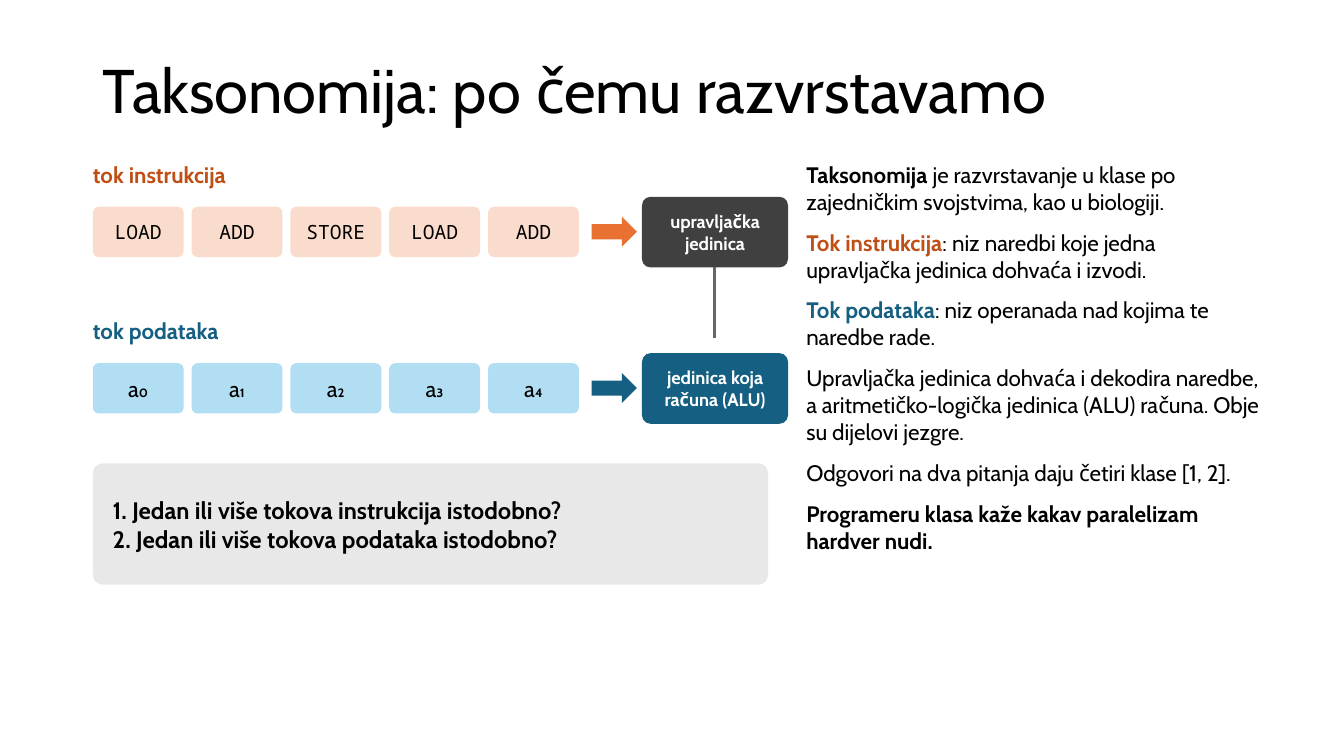
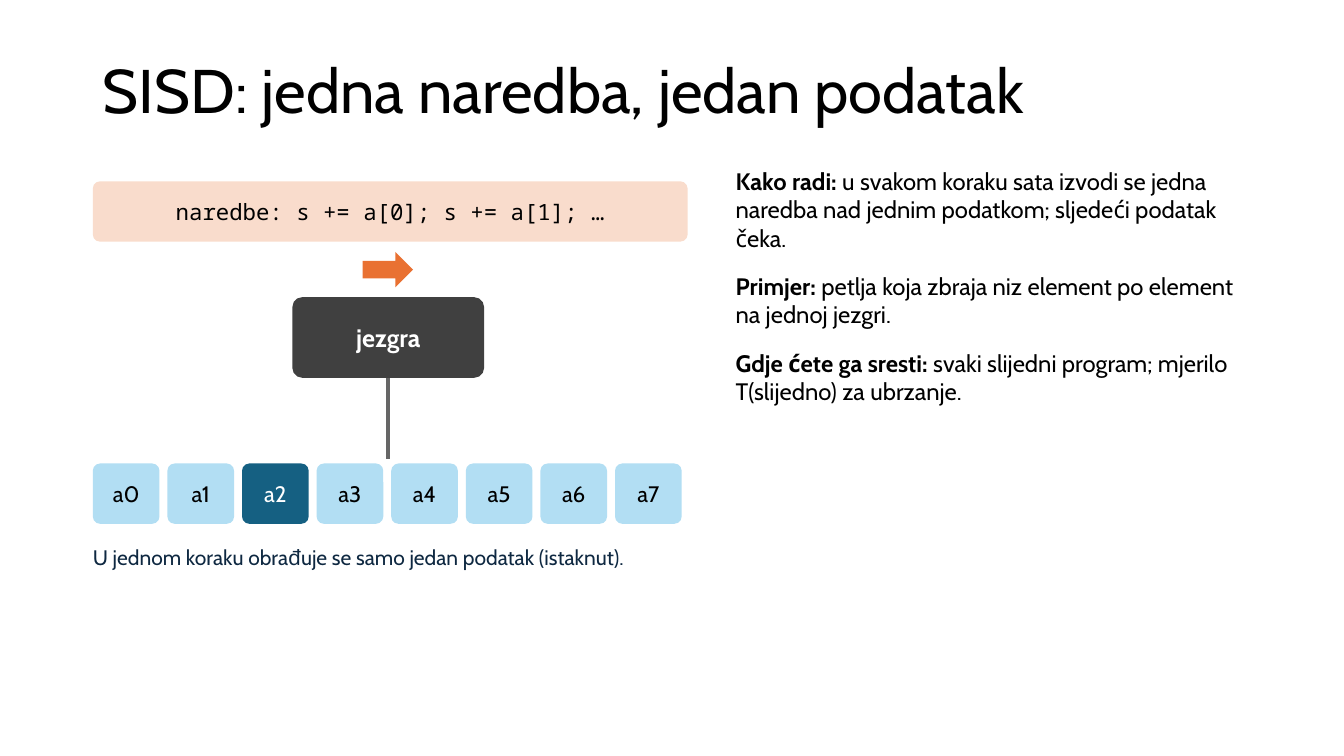
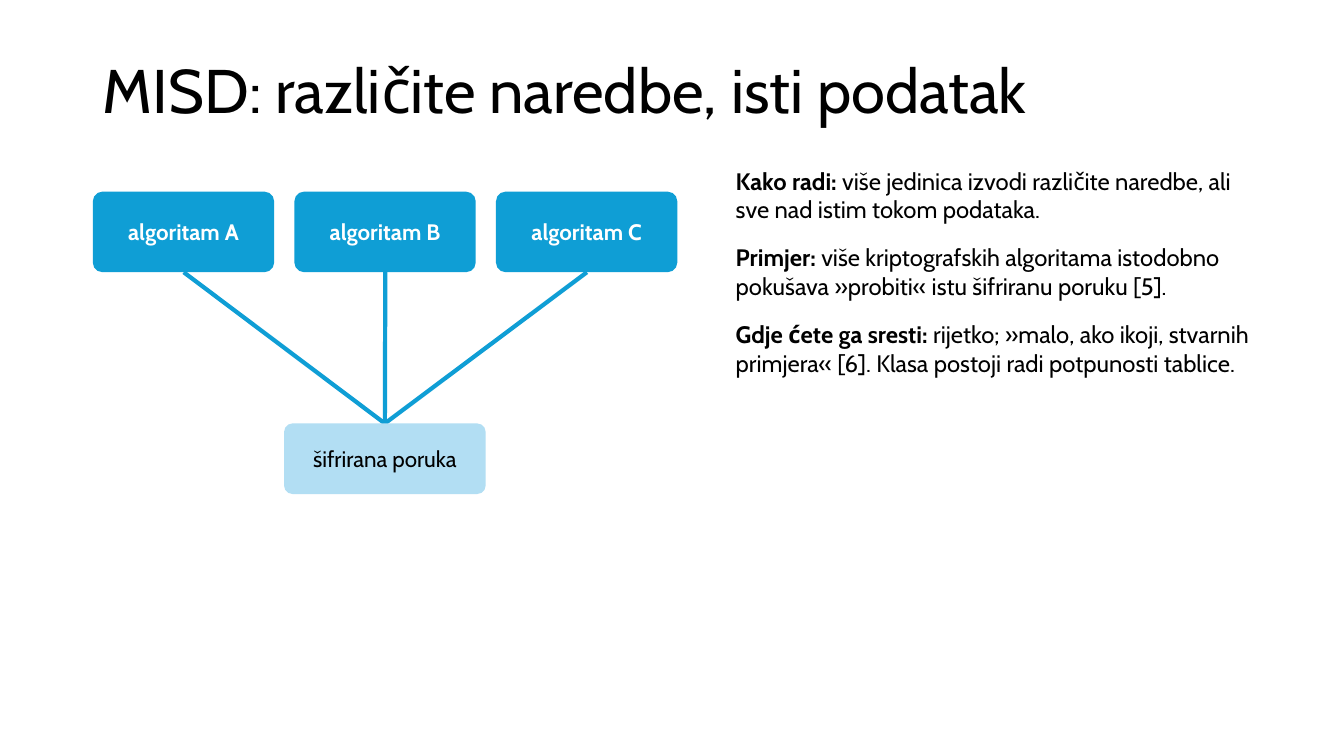
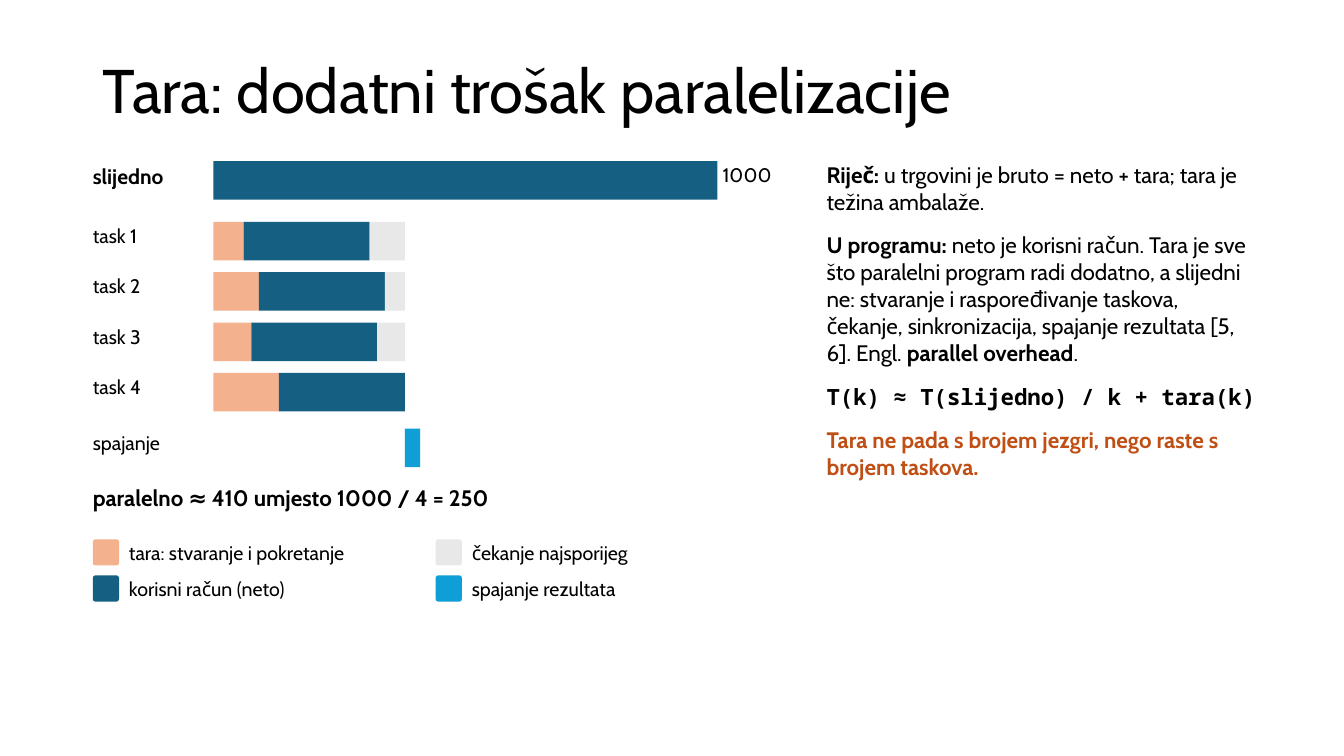
from collections import namedtuple
from dataclasses import dataclass

from lxml import etree
from pptx import Presentation
from pptx import util as u
from pptx.dml.color import RGBColor
from pptx.enum import shapes, text
from pptx.oxml import ns


@dataclass(frozen=True)
class Theme:
    black: str = "000000"
    white: str = "FFFFFF"
    navy: str = "0E2841"
    rust: str = "C04F15"
    orange: str = "E97132"
    peach: str = "F3B18E"
    blush: str = "F9DCCC"
    teal: str = "156082"
    blue: str = "0F9ED5"
    sky: str = "B2DEF3"
    charcoal: str = "404040"
    grey: str = "666666"
    silver: str = "E8E8E8"
    sans: str = "Cabin"
    mono: str = "Noto Sans Mono"
    title: int = 44
    big: int = 18
    lead: int = 17
    body: int = 16
    caption: int = 15
    small: int = 14
    unit: int = 13
    margin: float = 2.34


T = Theme()
Run = namedtuple("Run", "text bold color font", defaults=(False, T.black, T.sans))
ROUND, RECT, ARROW = (shapes.MSO_SHAPE.ROUNDED_RECTANGLE, shapes.MSO_SHAPE.RECTANGLE,
                      shapes.MSO_SHAPE.RIGHT_ARROW)


def block(slide, left, top, width, height, paragraphs=(), size=T.body, fill=None,
          kind=ROUND, radius=0.12, after=0, middle=False):
    """Add a filled shape, or a plain text box when there is no fill."""
    area = [u.Cm(n) for n in (left, top, width, height)]
    if fill:
        item = slide.shapes.add_shape(kind, *area)
        item.shadow.inherit = False
        item.fill.solid()
        item.fill.fore_color.rgb = RGBColor.from_string(fill)
        item.line.fill.background()
        if kind == ROUND:
            item.adjustments[0] = radius
    else:
        item = slide.shapes.add_textbox(*area)
    if not paragraphs:
        return
    frame = item.text_frame
    frame.word_wrap = True
    frame.auto_size = text.MSO_AUTO_SIZE.NONE if fill else text.MSO_AUTO_SIZE.SHAPE_TO_FIT_TEXT
    frame.margin_left = frame.margin_right = u.Cm(0.13 if fill else 0)
    frame.margin_top = frame.margin_bottom = u.Cm(0.05 if fill else 0)
    frame.vertical_anchor = text.MSO_ANCHOR.MIDDLE if fill or middle else text.MSO_ANCHOR.TOP
    for i, runs in enumerate(paragraphs):
        para = frame.add_paragraph() if i else frame.paragraphs[0]
        para.alignment = text.PP_ALIGN.CENTER if fill else text.PP_ALIGN.LEFT
        para.space_after = u.Pt(after)
        for part in runs:
            run = para.add_run()
            run.text = part.text
            run.font.name, run.font.size, run.font.bold = part.font, u.Pt(size), part.bold
            run.font.color.rgb = RGBColor.from_string(part.color)


def link(slide, x1, y1, x2, y2, color=T.grey, width=2.5):
    """Add a straight line without a shadow."""
    line = slide.shapes.add_connector(shapes.MSO_CONNECTOR.STRAIGHT,
                                      *[u.Cm(n) for n in (x1, y1, x2, y2)])
    line.line.color.rgb = RGBColor.from_string(color)
    line.line.width = u.Pt(width)
    etree.SubElement(line._element.spPr, ns.qn("a:effectLst"))


prs = Presentation()
prs.slide_width, prs.slide_height = u.Cm(33.87), u.Cm(19.05)

# Slides and their titles
slides = []
for heading in ("Taksonomija: po čemu razvrstavamo",
                "SISD: jedna naredba, jedan podatak",
                "MISD: različite naredbe, isti podatak",
                "Tara: dodatni trošak paralelizacije"):
    slide = prs.slides.add_slide(prs.slide_layouts[5])
    title = slide.shapes.title
    title.left, title.top = u.Cm(T.margin), u.Cm(1.02)
    title.width, title.height = u.Cm(29.21), u.Cm(2.69)
    title.text_frame.auto_size = text.MSO_AUTO_SIZE.NONE
    title.text_frame.vertical_anchor = text.MSO_ANCHOR.MIDDLE
    para = title.text_frame.paragraphs[0]
    para.alignment, para.line_spacing = text.PP_ALIGN.LEFT, 0.9
    run = para.add_run()
    run.text = heading
    run.font.name, run.font.size = T.sans, u.Pt(T.title)
    run.font.color.rgb = RGBColor.from_string(T.black)
    slides.append(slide)
taxonomy, sisd, misd, overhead = slides

# Taxonomy: instruction stream and data stream
streams = [
    ("tok instrukcija", T.rust, ("LOAD", "ADD", "STORE", "LOAD", "ADD"), T.mono, T.small,
     T.blush, T.orange, "upravljačka jedinica", T.charcoal),
    ("tok podataka", T.teal, ("a₀", "a₁", "a₂", "a₃", "a₄"), T.sans, T.body,
     T.sky, T.teal, "jedinica koja računa (ALU)", T.teal),
]
for row, (label, color, items, font, size, tint, arrow, unit, unit_fill) in enumerate(streams):
    top = 5.21 + row * 3.94
    block(taxonomy, T.margin, top - 1.15, 11.43, 1.02, [[Run(label, True, color)]])
    for col, item in enumerate(items):
        block(taxonomy, T.margin + col * 2.49, top, 2.29, 1.27,
              [[Run(item, font=font)]], size, tint)
    block(taxonomy, 14.91, top + 0.25, 1.14, 0.76, fill=arrow, kind=ARROW)
    block(taxonomy, 16.18, top - 0.25, 3.68, 1.78, [[Run(unit, True, T.white)]],
          T.unit, unit_fill)
link(taxonomy, 18.01, 6.73, 18.01, 8.51)

# Taxonomy: the two questions
block(taxonomy, T.margin, 11.68, 17.02, 3.05, fill=T.silver, radius=0.08)
block(taxonomy, 2.84, 11.94, 16, 2.54,
      [[Run("1. Jedan ili više tokova instrukcija istodobno?", True)],
       [Run("2. Jedan ili više tokova podataka istodobno?", True)]], T.lead, middle=True)

# Taxonomy: explanation
block(taxonomy, 20.32, 4.06, 11.43, 13.21, [
    [Run("Taksonomija", True),
     Run(" je razvrstavanje u klase po zajedničkim svojstvima, kao u biologiji.")],
    [Run("Tok instrukcija", True, T.rust),
     Run(": niz naredbi koje jedna upravljačka jedinica dohvaća i izvodi.")],
    [Run("Tok podataka", True, T.teal), Run(": niz operanada nad kojima te naredbe rade.")],
    [Run("Upravljačka jedinica dohvaća i dekodira naredbe, a aritmetičko-logička jedinica "
         "(ALU) računa. Obje su dijelovi jezgre.")],
    [Run("Odgovori na dva pitanja daju četiri klase [1, 2].")],
    [Run("Programeru klasa kaže kakav paralelizam hardver nudi.", True)],
], after=10)

# SISD: one core takes one element at a time
block(sisd, T.margin, 4.57, 14.99, 1.52,
      [[Run("naredbe: s += a[0]; s += a[1]; …", font=T.mono)]], fill=T.blush)
block(sisd, 9.14, 6.35, 1.27, 0.89, fill=T.orange, kind=ARROW)
block(sisd, 7.37, 7.49, 4.83, 2.03, [[Run("jezgra", True, T.white)]], T.big, T.charcoal)
link(sisd, 9.78, 9.52, 9.78, 11.56)
for i in range(8):
    active = i == 2
    block(sisd, T.margin + i * 1.88, 11.68, 1.68, 1.52,
          [[Run(f"a{i}", color=T.white if active else T.black)]],
          fill=T.teal if active else T.sky)
block(sisd, T.margin, 13.72, 14.99, 1.27,
      [[Run("U jednom koraku obrađuje se samo jedan podatak (istaknut).", color=T.navy)]],
      T.caption)

# MISD: three algorithms share one message
for i, letter in enumerate("ABC"):
    left = T.margin + i * 5.08
    block(misd, left, 4.83, 4.57, 2.03, [[Run(f"algoritam {letter}", True, T.white)]],
          fill=T.blue)
    link(misd, left + 2.29, 6.86, 9.7, 10.67, T.blue, 3)
block(misd, 7.16, 10.67, 5.08, 1.78, [[Run("šifrirana poruka")]], fill=T.sky)

# SISD and MISD: the same three notes
topics = ("Kako radi: ", "Primjer: ", "Gdje ćete ga sresti: ")
answers = [
    (sisd, ("u svakom koraku sata izvodi se jedna naredba nad jednim podatkom; "
            "sljedeći podatak čeka.",
            "petlja koja zbraja niz element po element na jednoj jezgri.",
            "svaki slijedni program; mjerilo T(slijedno) za ubrzanje.")),
    (misd, ("više jedinica izvodi različite naredbe, ali sve nad istim tokom podataka.",
            "više kriptografskih algoritama istodobno pokušava »probiti« istu "
            "šifriranu poruku [5].",
            "rijetko; »malo, ako ikoji, stvarnih primjera« [6]. Klasa postoji radi "
            "potpunosti tablice.")),
]
for slide, replies in answers:
    block(slide, 18.54, 4.19, 13.21, 12.7,
          [[Run(topic, True), Run(reply)] for topic, reply in zip(topics, replies)],
          T.lead, after=14)

# Overhead: timeline bars, in time units
bar_left, scale = 5.38, 12.7 / 1000
net, finish = 250, 380
timeline = [("slijedno", 4.06, 0, [(1000, T.teal)])]
for i, tare in enumerate((60, 90, 75, 130)):
    timeline.append((f"task {i + 1}", 5.59 + i * 1.27, 0,
                     [(tare, T.peach), (net, T.teal), (finish - tare - net, T.silver)]))
timeline.append(("spajanje", 10.8, finish, [(30, T.blue)]))
for label, top, start, segments in timeline:
    serial = label == "slijedno"
    block(overhead, T.margin, top + 0.05, 3.05, 0.89, [[Run(label, serial)]],
          T.caption if serial else T.small)
    for duration, color in segments:
        if duration:
            block(overhead, bar_left + start * scale, top, duration * scale, 0.97,
                  fill=color, kind=RECT)
        start += duration
block(overhead, 18.21, 4.11, 2.03, 0.89, [[Run("1000")]], T.small)
block(overhead, T.margin, 12.19, 15.75, 1.02,
      [[Run("paralelno ≈ 410 umjesto 1000 / 4 = 250", True)]])

# Overhead: legend, filled column by column
legend = [("tara: stvaranje i pokretanje", T.peach), ("korisni račun (neto)", T.teal),
          ("čekanje najsporijeg", T.silver), ("spajanje rezultata", T.blue)]
for i, (label, color) in enumerate(legend):
    left, top = T.margin + i // 2 * 8.64, 13.59 + i % 2 * 0.91
    block(overhead, left, top, 0.66, 0.66, fill=color, radius=0.1)
    block(overhead, left + 0.91, top - 0.1, 9.14, 0.86, [[Run(label)]], T.small, middle=True)

# Overhead: explanation
block(overhead, 20.83, 4.06, 10.92, 13.21, [
    [Run("Riječ: ", True), Run("u trgovini je bruto = neto + tara; tara je težina ambalaže.")],
    [Run("U programu: ", True),
     Run("neto je korisni račun. Tara je sve što paralelni program radi dodatno, a slijedni "
         "ne: stvaranje i raspoređivanje taskova, čekanje, sinkronizacija, spajanje "
         "rezultata [5, 6]. Engl. "),
     Run("parallel overhead", True), Run(".")],
    [Run("T(k) ≈ T(slijedno) / k + tara(k)", True, font=T.mono)],
    [Run("Tara ne pada s brojem jezgri, nego raste s brojem taskova.", True, T.rust)],
], after=12)

prs.save("out.pptx")
